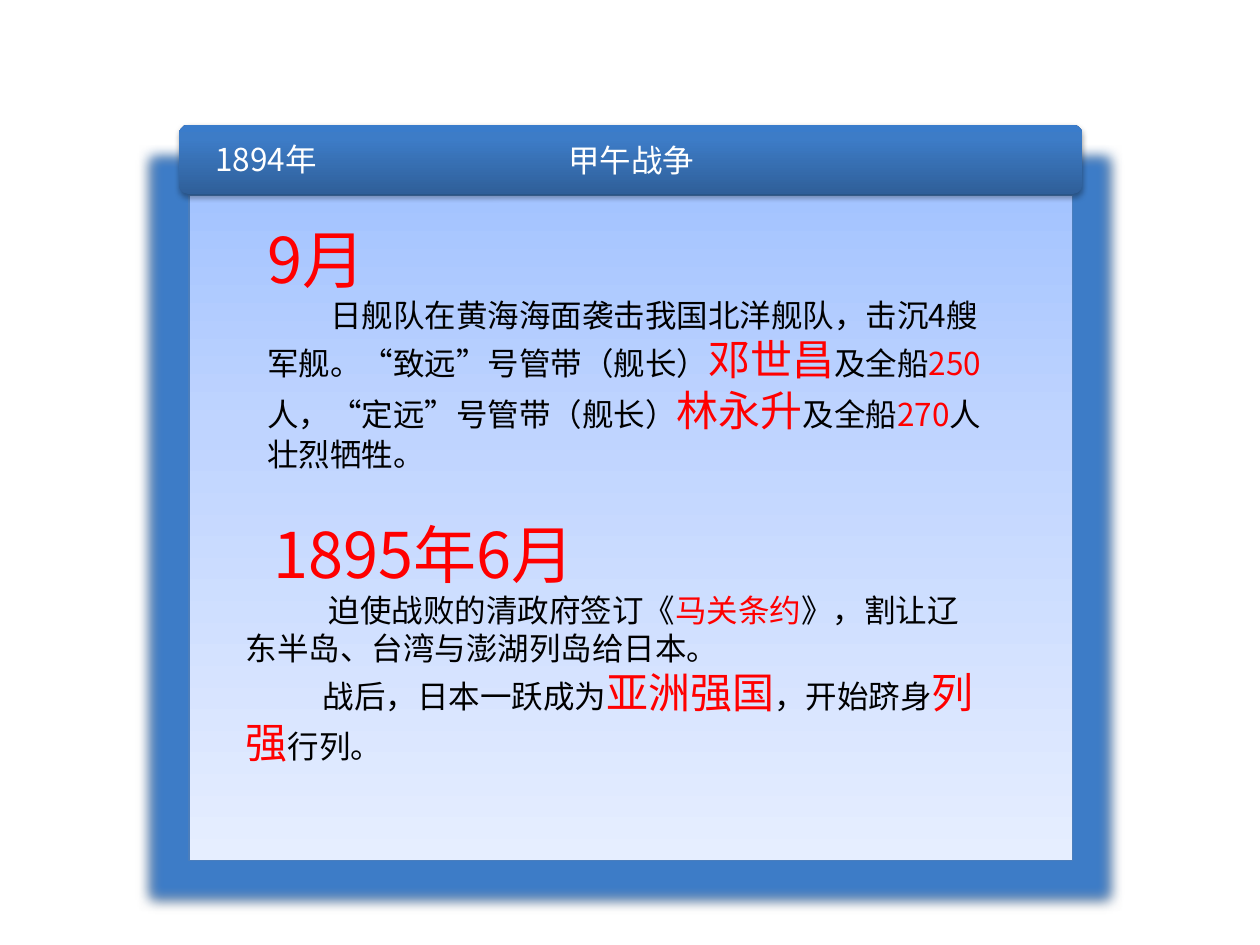
from lxml import etree
from pptx import Presentation
from pptx.dml.color import RGBColor
from pptx.enum.shapes import MSO_SHAPE
from pptx.enum.text import MSO_ANCHOR, MSO_AUTO_SIZE, PP_ALIGN
from pptx.oxml.ns import qn
from pptx.util import Inches, Pt

RECT, ROUND = MSO_SHAPE.RECTANGLE, MSO_SHAPE.ROUNDED_RECTANGLE
TOP, MIDDLE = MSO_ANCHOR.TOP, MSO_ANCHOR.MIDDLE
LEFT, RIGHT = PP_ALIGN.LEFT, PP_ALIGN.RIGHT
FIXED = MSO_AUTO_SIZE.NONE
COLORS = {"white": "FFFFFF", "black": "000000", "red": "FF0000",
          "line": "4B7EBC", "glow": "3D7CC7"}
STYLES = {"bar": (18, "white"), "text": (18, "black"), "key": (18, "red"),
          "name": (24, "red"), "date": (36, "red")}
HEADER_STOPS = [(0, "2F5F99"), (80, "3D7CC7"), (100, "3A7CCB")]
PANEL_STOPS = [(0, "A4C4FF"), (35, "BFD4FF"), (100, "E6EEFF")]

SEPTEMBER = [
    (0, [("9月", "date")]),
    (0.5, [("日舰队在黄海海面袭击我国北洋舰队，击沉4艘军舰。“致远”号管带（舰长）", "text"),
           ("邓世昌", "name"), ("及全船", "text"), ("250", "key"),
           ("人，“定远”号管带（舰长）", "text"), ("林永升", "name"),
           ("及全船", "text"), ("270", "key"), ("人壮烈牺牲。", "text")]),
]
JUNE = [
    (0.22, [("1895年6月", "date")]),
    (0.66, [("迫使战败的清政府签订《", "text"), ("马关条约", "key"),
            ("》，割让辽东半岛、台湾与澎湖列岛给日本。", "text")]),
    (0.61, [("战后，日本一跃成为", "text"), ("亚洲强国", "name"),
            ("，开始跻身", "text"), ("列强", "name"), ("行列。", "text")]),
]


class Deck:
    """Slide builder on a grid of 100 columns by 75 rows."""

    font = "Noto Sans CJK SC"

    def __init__(self):
        self.prs = Presentation()
        self.prs.slide_width, self.prs.slide_height = Inches(10), Inches(7.5)
        self.col = self.prs.slide_width / 100
        self.row = self.prs.slide_height / 75
        self.s = self.prs.slides.add_slide(self.prs.slide_layouts[3])

    def box(self, x, y, w, h):
        return (round(x * self.col), round(y * self.row),
                round(w * self.col), round(h * self.row))

    def panel(self, kind, at, stops, angle, shadow, line=None, glow=0):
        sp = self.s.shapes.add_shape(kind, *self.box(*at))
        sp.shadow.inherit = False
        sp.fill.gradient()
        sp.fill.gradient_angle = angle
        spPr = sp._element.spPr
        gs_list = spPr.find(qn("a:gradFill")).find(qn("a:gsLst"))
        gs_list.clear()
        for pos, color in stops:
            gs = etree.SubElement(gs_list, qn("a:gs"), pos=str(pos * 1000))
            etree.SubElement(gs, qn("a:srgbClr"), val=color)
        if line:
            sp.line.color.rgb = RGBColor.from_string(COLORS[line])
            sp.line.width = Pt(0.75)
        else:
            sp.line.fill.background()
        effects = spPr.find(qn("a:effectLst"))
        if glow:
            self.effect(effects, "a:glow", "glow", 100, rad=Pt(glow))
        blur, dist, alpha = shadow
        self.effect(effects, "a:outerShdw", "black", alpha, blurRad=Pt(blur),
                    dist=Pt(dist), dir=5400000, rotWithShape=0)
        return sp

    def effect(self, effects, tag, color, alpha, **attrs):
        node = etree.SubElement(effects, qn(tag), {k: str(int(v)) for k, v in attrs.items()})
        clr = etree.SubElement(node, qn("a:srgbClr"), val=COLORS[color])
        etree.SubElement(clr, qn("a:alpha"), val=str(alpha * 1000))

    def placeholder(self, index, at, paragraphs, align=LEFT, wrap=True):
        sp = self.s.placeholders[index]
        sp.left, sp.top, sp.width, sp.height = self.box(*at)
        self.s.shapes._spTree.append(sp._element)
        self.fill_text(sp.text_frame, paragraphs, TOP, align, wrap)

    def fill_text(self, tf, paragraphs, anchor, align=LEFT, wrap=True):
        tf.word_wrap, tf.auto_size, tf.vertical_anchor = wrap, FIXED, anchor
        for i, (indent, runs) in enumerate(paragraphs):
            p = tf.add_paragraph() if i else tf.paragraphs[0]
            p.alignment, p.space_before = align, Pt(0)
            pPr = p._p.get_or_add_pPr()
            pPr.set("marL", "0")
            pPr.set("indent", str(Inches(indent)))
            etree.SubElement(pPr, qn("a:buNone"))
            for text, style in runs:
                self.run(p, text, *STYLES[style])

    def run(self, p, text, size, color):
        r = p.add_run()
        r.text = text
        r.font.size, r.font.name = Pt(size), self.font
        r.font.color.rgb = RGBColor.from_string(COLORS[color])
        r._r.get_or_add_rPr().append(etree.Element(qn("a:ea"), typeface=self.font))


def main():
    deck = Deck()
    deck.panel(RECT, (15, 15.5, 70.1, 52.8), PANEL_STOPS, 270,
               (3.1, 1.6, 38), line="line", glow=14)
    header = deck.panel(ROUND, (14.2, 9.9, 71.7, 5.5), HEADER_STOPS, 90, (3.1, 1.8, 35))
    header.adjustments[0] = 0.14
    deck.fill_text(header.text_frame, [(0.17, [("1894年", "bar")])], MIDDLE)
    deck.placeholder(0, (44, 10.7, 12.1, 4), [(0, [("甲午战争", "bar")])], RIGHT, False)
    deck.placeholder(1, (20.2, 17, 59, 21.2), SEPTEMBER)
    deck.placeholder(2, (18.5, 40.4, 60.6, 24.9), JUNE)
    deck.prs.save("out.pptx")


if __name__ == "__main__":
    main()
